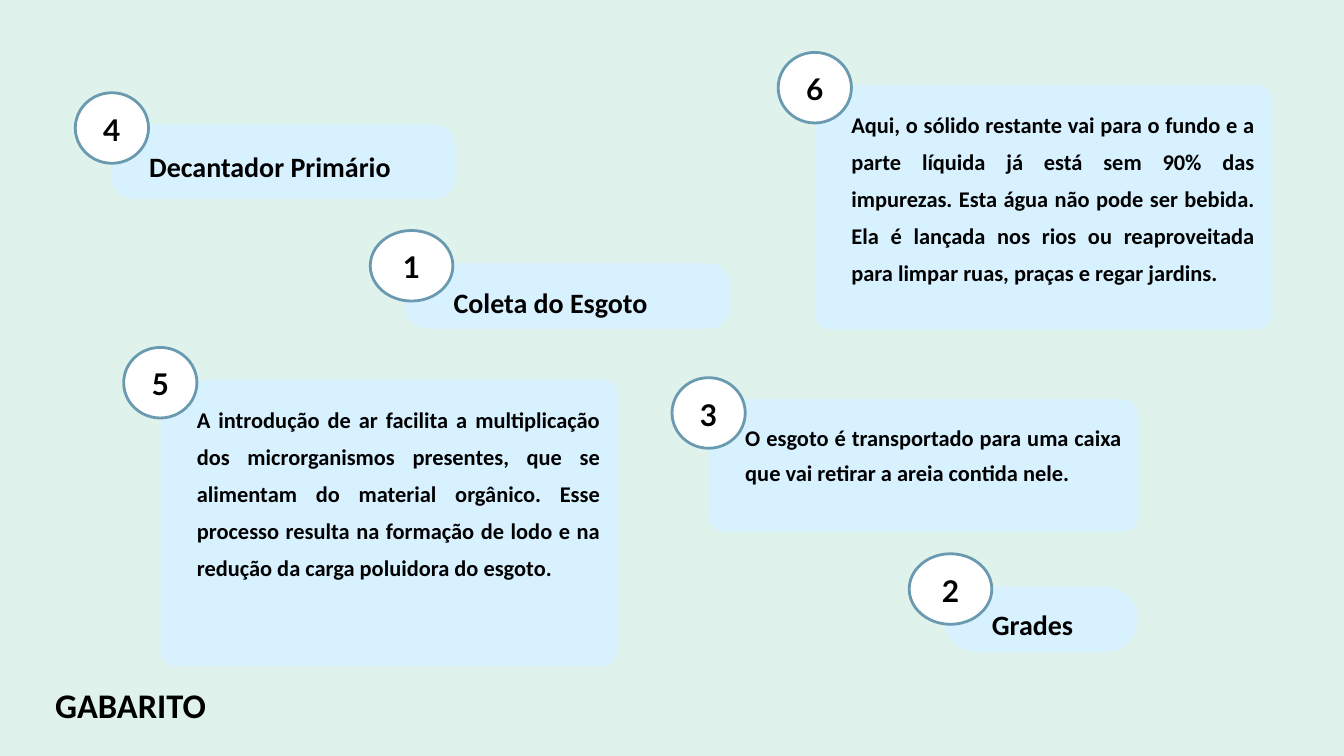
from dataclasses import dataclass

from pptx import Presentation
from pptx.dml.color import RGBColor
from pptx.enum.shapes import MSO_SHAPE as Preset
from pptx.enum.text import MSO_ANCHOR as Anchor, PP_ALIGN as Align
from pptx.util import Inches, Pt

COLOURS = {
    "background": "DFF2EB",
    "panel": "D7F1FF",
    "badge": "FFFFFF",
    "outline": "6A9AB0",
    "text": "000000",
}
BADGE_HEIGHT = 1.05


@dataclass(frozen=True)
class Box:
    left: float
    top: float
    width: float
    height: float

    def lengths(self) -> tuple:
        return tuple(Inches(v) for v in (self.left, self.top, self.width, self.height))


@dataclass(frozen=True)
class TextStyle:
    size: float
    line_spacing: float
    font: str = "Calibri"
    align: Align = Align.JUSTIFY
    anchor: Anchor = Anchor.TOP
    inset: float = 0


@dataclass(frozen=True)
class Step:
    number: int
    panel: Box
    radius: float
    badge: Box
    text: str
    text_box: Box
    style: TextStyle


TITLE = TextStyle(37, 57)
HEADING = TextStyle(30, 46.2)
BODY = TextStyle(24, 39.6)
SHORT_BODY = TextStyle(24, 37)
NUMBER = TextStyle(32, 44.8, "Lato", Align.CENTER, Anchor.MIDDLE, 0.06)

STEPS = [
    Step(3, Box(10.55, 5.94, 6.39, 1.97), 0.23, Box(10, 5.62, 1.09, BADGE_HEIGHT),
         "O esgoto é transportado para uma caixa que vai retirar a areia contida nele.",
         Box(11.09, 6.2, 5.6, 1.47), SHORT_BODY),
    Step(5, Box(2.39, 5.65, 6.79, 4.26), 0.22, Box(1.84, 5.17, 1.09, BADGE_HEIGHT),
         "A introdução de ar facilita a multiplicação dos microrganismos presentes, "
         "que se alimentam do material orgânico. Esse processo resulta na formação "
         "de lodo e na redução da carga poluidora do esgoto.",
         Box(2.93, 5.89, 6, 3.72), BODY),
    Step(1, Box(6.04, 3.92, 4.82, 0.97), 0.31, Box(5.51, 3.43, 1.23, BADGE_HEIGHT),
         "Coleta do Esgoto", Box(6.75, 4.1, 3.82, 0.57), HEADING),
    Step(4, Box(1.67, 1.85, 5.1, 1.11), 0.3, Box(1.12, 1.38, 1.09, BADGE_HEIGHT),
         "Decantador Primário", Box(2.22, 2.09, 5.01, 0.57), HEADING),
    Step(2, Box(14.05, 8.73, 2.88, 0.97), 0.48, Box(13.53, 8.24, 1.23, BADGE_HEIGHT),
         "Grades", Box(14.76, 8.9, 2.17, 0.57), HEADING),
    Step(6, Box(12.13, 1.26, 6.79, 3.64), 0.22, Box(11.58, 0.78, 1.09, BADGE_HEIGHT),
         "Aqui, o sólido restante vai para o fundo e a parte líquida já está sem 90% "
         "das impurezas. Esta água não pode ser bebida. Ela é lançada nos rios ou "
         "reaproveitada para limpar ruas, praças e regar jardins.",
         Box(12.67, 1.5, 6, 3.18), BODY),
]


def colour(name: str) -> RGBColor:
    return RGBColor.from_string(COLOURS[name])


def add_filled_shape(shapes, preset: Preset, box: Box, fill: str):
    shape = shapes.add_shape(preset, *box.lengths())
    shape.shadow.inherit = False
    shape.fill.solid()
    shape.fill.fore_color.rgb = colour(fill)
    shape.line.fill.background()
    return shape


def add_text(shapes, box: Box, text: str, style: TextStyle) -> None:
    frame = shapes.add_textbox(*box.lengths()).text_frame
    frame.word_wrap = True
    frame.vertical_anchor = style.anchor
    frame.margin_left = frame.margin_right = Inches(style.inset)
    frame.margin_top = frame.margin_bottom = Inches(style.inset)
    paragraph = frame.paragraphs[0]
    paragraph.alignment = style.align
    paragraph.line_spacing = Pt(style.line_spacing)
    run = paragraph.add_run()
    run.text = text
    run.font.name = style.font
    run.font.size = Pt(style.size)
    run.font.bold = True
    run.font.color.rgb = colour("text")


def add_badge(shapes, box: Box, number: int) -> None:
    circle = add_filled_shape(shapes, Preset.OVAL, box, "badge")
    circle.line.color.rgb = colour("outline")
    circle.line.width = Pt(3)
    side = 0.1
    number_box = Box(box.left + side, box.top + 0.05, box.width - 2 * side, 0.9)
    add_text(shapes, number_box, str(number), NUMBER)


def add_step(slide, step: Step) -> None:
    shapes = slide.shapes.add_group_shape().shapes
    panel = add_filled_shape(shapes, Preset.ROUNDED_RECTANGLE, step.panel, "panel")
    panel.adjustments[0] = step.radius / min(step.panel.width, step.panel.height)
    add_text(shapes, step.text_box, step.text, step.style)
    add_badge(shapes, step.badge, step.number)


def main() -> None:
    presentation = Presentation()
    presentation.slide_width = Inches(20)
    presentation.slide_height = Inches(11.25)
    slide = presentation.slides.add_slide(presentation.slide_layouts[6])

    # Background
    slide.background.fill.solid()
    slide.background.fill.fore_color.rgb = colour("background")

    # Numbered treatment steps
    for step in STEPS:
        add_step(slide, step)

    # Answer key title
    add_text(slide.shapes, Box(0.82, 10, 3.2, 0.73), "GABARITO", TITLE)

    presentation.save("out.pptx")


if __name__ == "__main__":
    main()
